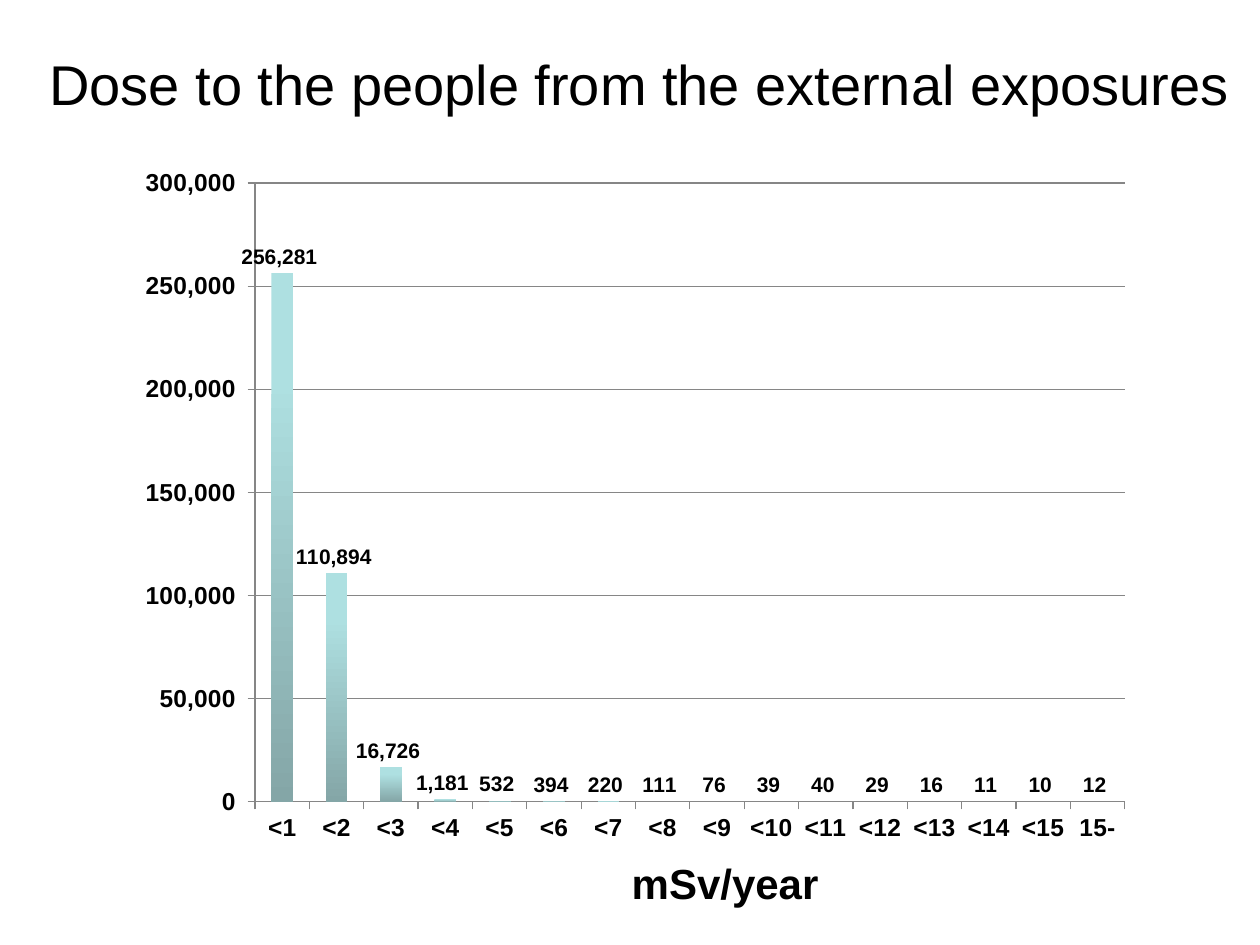
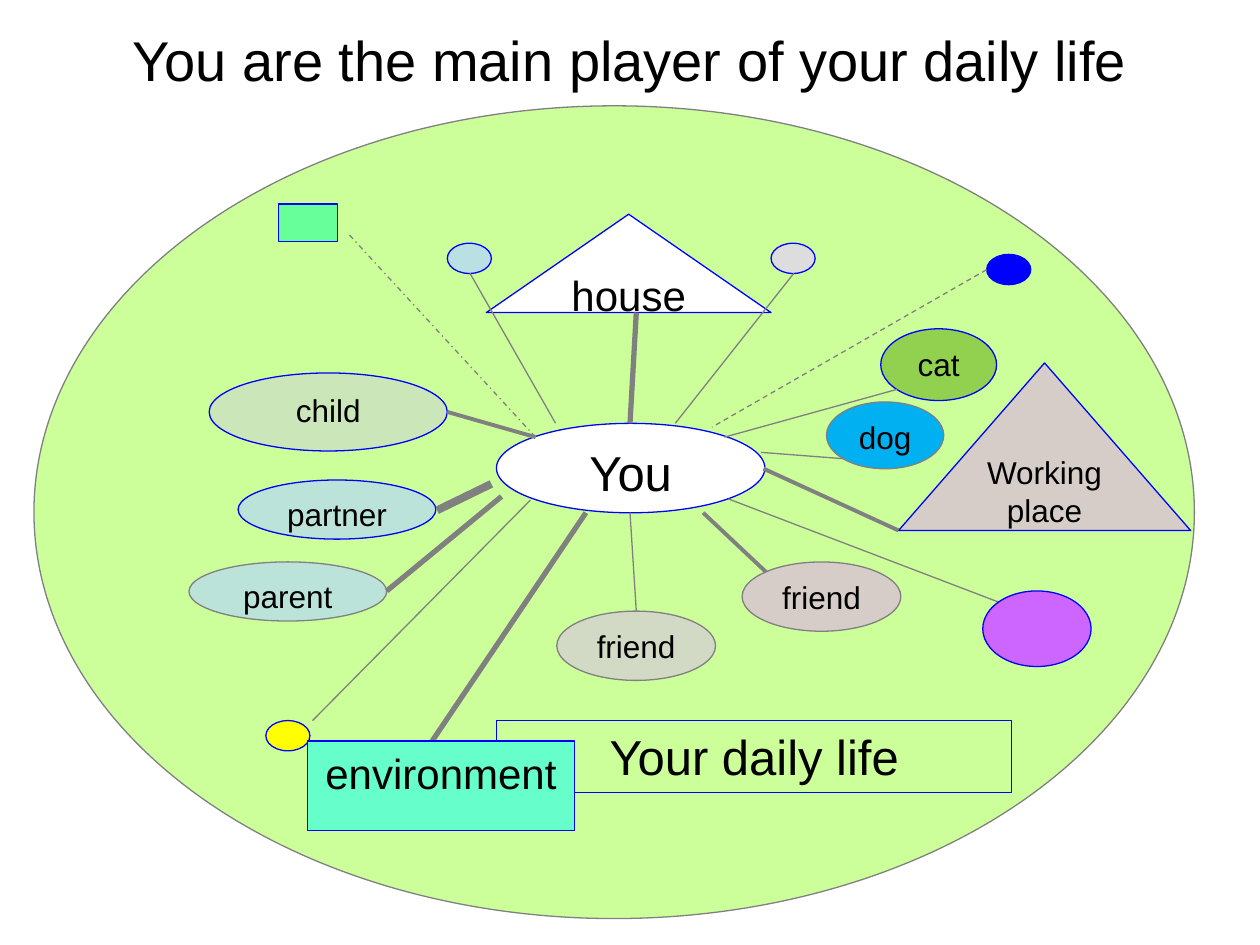
from lxml import etree
from pptx import Presentation
from pptx.chart import data as cd
from pptx.dml import color as dc
from pptx.enum import chart as ce, dml, shapes, text
from pptx.oxml import ns
from pptx.util import Pt

HUES = {
    "ink": "000000", "white": "FFFFFF", "grey": "808080", "grid": "868686",
    "blue": "0000FF", "lime": "CCFF99", "moss": "CBE6B8", "aqua": "BBE3D9",
    "sage": "D2D9C5", "rose": "D6CCC8", "pale": "DDDDDD", "leaf": "92D050",
    "sky": "00B0F0", "ice": "BBE0E3", "plum": "CC66FF", "sun": "FFFF00",
    "mint": "66FF99", "sea": "66FFCC", "high": "AEE0E1", "low": "84A6A7",
}
FONT = "Arial"
NUMBER = r"#,##0_);[Red]\(#,##0\)"
KINDS = shapes.MSO_SHAPE
OVAL, DOT = KINDS.OVAL, KINDS.FLOWCHART_CONNECTOR
PEAK, BOX = KINDS.ISOSCELES_TRIANGLE, KINDS.RECTANGLE
DASH = dml.MSO_LINE.DASH
MIXED = dml.MSO_LINE.DASH_DOT


def hue(name):
    return dc.RGBColor.from_string(HUES[name])


class Deck:
    def __init__(self):
        self.prs = Presentation()
        self.prs.slide_width, self.prs.slide_height = Pt(720), Pt(540)
        self.slide = None

    def page(self):
        self.slide = self.prs.slides.add_slide(self.prs.slide_layouts[6])

    def style(self, font, size, bold=False):
        font.name, font.size, font.bold = FONT, Pt(size), bold
        font.color.rgb = hue("ink")

    def words(self, frame, line, size, bold=False):
        frame.vertical_anchor = text.MSO_ANCHOR.TOP
        para = frame.paragraphs[0]
        para.alignment = text.PP_ALIGN.CENTER
        run = para.add_run()
        run.text = line
        self.style(run.font, size, bold)
        return para

    def label(self, area, line, size, bold=False, wrap=True):
        box = self.slide.shapes.add_textbox(*map(Pt, area))
        box.text_frame.word_wrap = wrap
        return self.words(box.text_frame, line, size, bold)

    def title(self, area, line, wrap=True):
        return self.label(area, line, 32, wrap=wrap)

    def node(self, kind, area, fill, edge="blue", line="", size=18):
        node = self.slide.shapes.add_shape(kind, *map(Pt, area))
        node.shadow.inherit = False
        if fill:
            node.fill.solid()
            node.fill.fore_color.rgb = hue(fill)
        else:
            node.fill.background()
        node.line.color.rgb = hue(edge)
        node.line.width = Pt(0.75)
        if line:
            node.text_frame.word_wrap = True
            self.words(node.text_frame, line, size)

    def link(self, ends, width=0.75, dash=None):
        line = self.slide.shapes.add_connector(
            shapes.MSO_CONNECTOR.STRAIGHT, *map(Pt, ends))
        line.line.color.rgb = hue("grey")
        line.line.width = Pt(width)
        if dash:
            line.line.dash_style = dash
        etree.SubElement(line._element.spPr, ns.qn("a:effectLst"))

    def axis(self, axis):
        axis.major_tick_mark = ce.XL_TICK_MARK.OUTSIDE
        axis.minor_tick_mark = ce.XL_TICK_MARK.NONE
        axis.format.line.color.rgb = hue("grid")
        axis.format.line.width = Pt(0.75)
        self.style(axis.tick_labels.font, 14, True)

    def place(self, chart, area):
        plot = chart._chartSpace.chart.plotArea
        for old in plot.findall(ns.qn("c:layout")):
            plot.remove(old)
        layout = etree.Element(ns.qn("c:layout"))
        manual = etree.SubElement(layout, ns.qn("c:manualLayout"))
        rules = [("layoutTarget", "inner"), ("xMode", "edge"),
                 ("yMode", "edge"), *zip("xywh", area)]
        for tag, val in rules:
            etree.SubElement(manual, ns.qn("c:" + tag)).set("val", str(val))
        plot.insert(0, layout)

    def columns(self, area, cats, vals):
        data = cd.CategoryChartData(number_format=NUMBER)
        data.categories = cats
        data.add_series("Series 1", vals)
        chart = self.slide.shapes.add_chart(
            ce.XL_CHART_TYPE.COLUMN_CLUSTERED, *map(Pt, area), data).chart
        self.style(chart.font, 10)
        chart.has_legend = chart.has_title = False
        self.place(chart, (0.13, 0.04, 0.85, 0.88))
        self.axis(chart.category_axis)
        axis = chart.value_axis
        self.axis(axis)
        axis.minimum_scale, axis.maximum_scale = 0, 300000
        axis.major_unit = 50000
        axis.tick_labels.number_format = NUMBER
        axis.tick_labels.number_format_is_linked = False
        axis.has_major_gridlines = True
        axis.major_gridlines.format.line.color.rgb = hue("grid")
        axis.major_gridlines.format.line.width = Pt(0.75)
        plot = chart.plots[0]
        plot.gap_width, plot.vary_by_categories = 150, False
        bars = plot.series[0]
        bars.invert_if_negative = False
        fill = bars.format.fill
        fill.gradient()
        fill.gradient_angle = 270
        for stop, name, spot in zip(fill.gradient_stops, ("high", "low"), (0.2, 1)):
            stop.color.rgb, stop.position = hue(name), spot
        plot.has_data_labels = True
        tags = plot.data_labels
        tags.show_value = True
        tags.position = ce.XL_LABEL_POSITION.OUTSIDE_END
        tags.number_format, tags.number_format_is_linked = NUMBER, False
        self.style(tags.font, 12, True)


def doses(deck):
    deck.page()
    deck.title((18.7, 24.5, 694.1, 46.1),
               "Dose to the people from the external exposures", wrap=False)
    cats = [f"<{n}" for n in range(1, 16)] + ["15-"]
    vals = [256281, 110894, 16726, 1181, 532, 394, 220, 111,
            76, 39, 40, 29, 16, 11, 10, 12]
    deck.columns((69.8, 88.6, 584.6, 401.8), cats, vals)
    deck.label((349.2, 486.7, 130.3, 36.7), "mSv/year", 24, True)


def life(deck):
    deck.page()
    head = deck.title((-2.9, 9.4, 725.8, 47.5),
                      "You are the main player of your daily life")
    head.line_spacing = Pt(40)

    nodes = [
        (OVAL, (19.4, 60.5, 663.1, 464.4), "lime", "grey"),
        (OVAL, (283.7, 241.9, 153.4, 51.1), "white", "blue", "You", 28),
        (OVAL, (119.5, 213.1, 136.1, 44.6), "moss", "blue", "child"),
        (OVAL, (136.1, 274.3, 113, 33.8), "aqua", "blue", "partner"),
        (OVAL, (108, 321.1, 113, 33.8), "aqua", "grey", "parent"),
        (OVAL, (318.2, 349.2, 90.7, 39.6), "sage", "grey", "friend"),
        (OVAL, (424.1, 321.1, 90.7, 39.6), "rose", "grey", "friend"),
        (PEAK, (277.9, 122.4, 162.7, 56.2), "white", "blue", "house", 24),
        (PEAK, (513.4, 207.4, 167, 95.8), "rose", "blue", "Working place"),
    ]
    ties = [
        ((255.6, 235.4, 306, 249.8), 2.25),
        ((249.8, 291.6, 280.8, 276.5), 4.5),
        ((221, 337.7, 286.6, 283.7), 3),
        ((360, 293, 363.6, 349.2),),
        ((401.8, 293, 437.8, 326.9), 2.25),
        ((416.2, 285.1, 571, 344.2),),
        ((360, 241.9, 363.6, 178.6), 3),
    ]
    dots = [(440.6, 139, "pale"), (563.8, 145.4, "blue"),
            (255.6, 139, "ice"), (151.9, 411.8, "sun")]
    things = [
        (DOT, (503.3, 187.9, 66.2, 41), "leaf", "blue", "cat"),
        (DOT, (472.3, 229.7, 67, 38.2), "sky", "grey", "dog"),
        (DOT, (561.6, 337.7, 61.9, 43.2), "plum"),
        (BOX, (159.1, 116.6, 33.8, 21.6), "mint"),
    ]
    links = [
        ((453.6, 156.2, 385.9, 241.9),),
        ((563.8, 154.1, 406.8, 244.1), 0.75, DASH),
        ((414, 249.8, 512.6, 222.5),),
        ((434.9, 258.5, 481.7, 262.1),),
        ((178.6, 411.8, 303.1, 285.8),),
        ((317.5, 241.9, 268.6, 156.2),),
        ((306, 249.8, 198.7, 133.2), 0.75, MIXED),
        ((247, 423.4, 334.8, 293), 3),
        ((436.3, 267.8, 513.4, 303.1), 2.25),
    ]
    frames = [
        (BOX, (283.7, 411.8, 294.5, 41), None, "blue", "Your daily life", 28),
        (BOX, (175.7, 423.4, 152.6, 51.1), "sea", "blue", "environment", 24),
    ]
    small = [(DOT, (x, y, 25.2, 17.3), fill) for x, y, fill in dots]
    layers = [(deck.node, nodes), (deck.link, ties), (deck.node, small + things),
              (deck.link, links), (deck.node, frames)]
    for draw, items in layers:
        for item in items:
            draw(*item)


def main():
    deck = Deck()
    doses(deck)
    life(deck)
    deck.prs.save("out.pptx")


if __name__ == "__main__":
    main()
